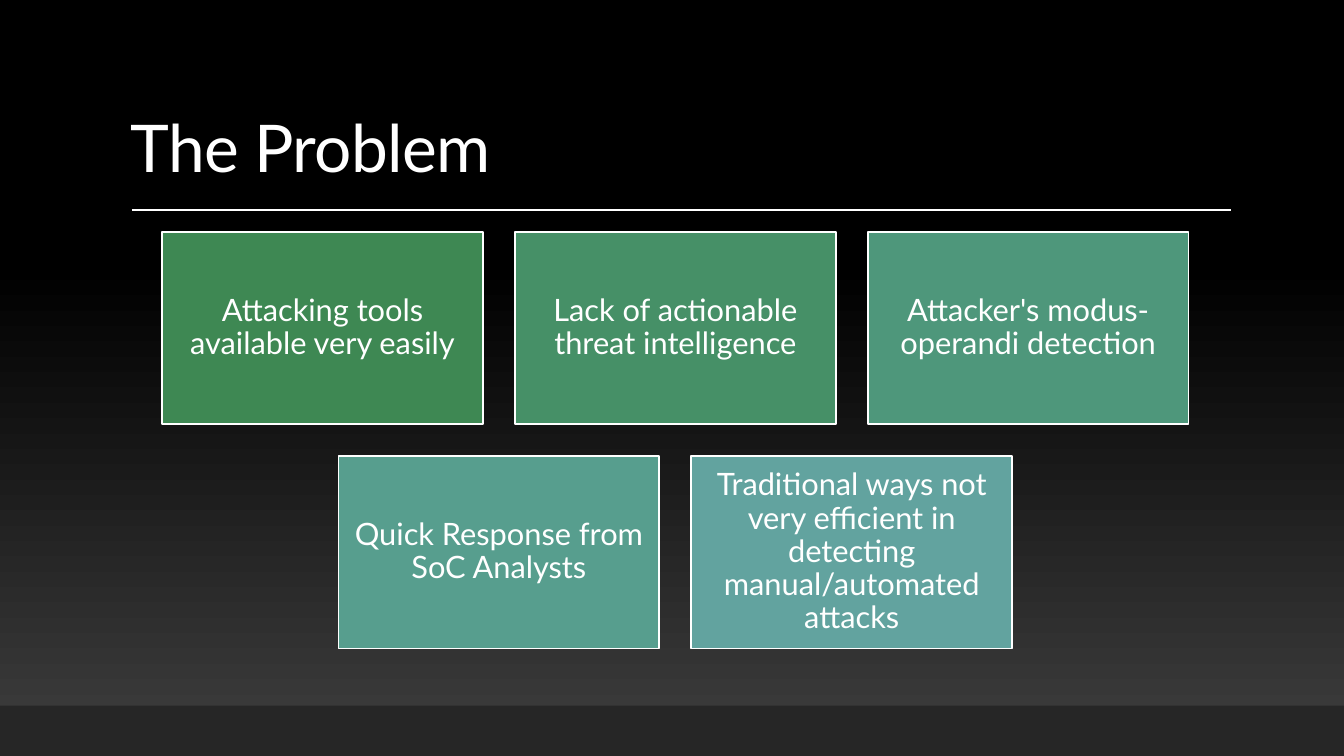
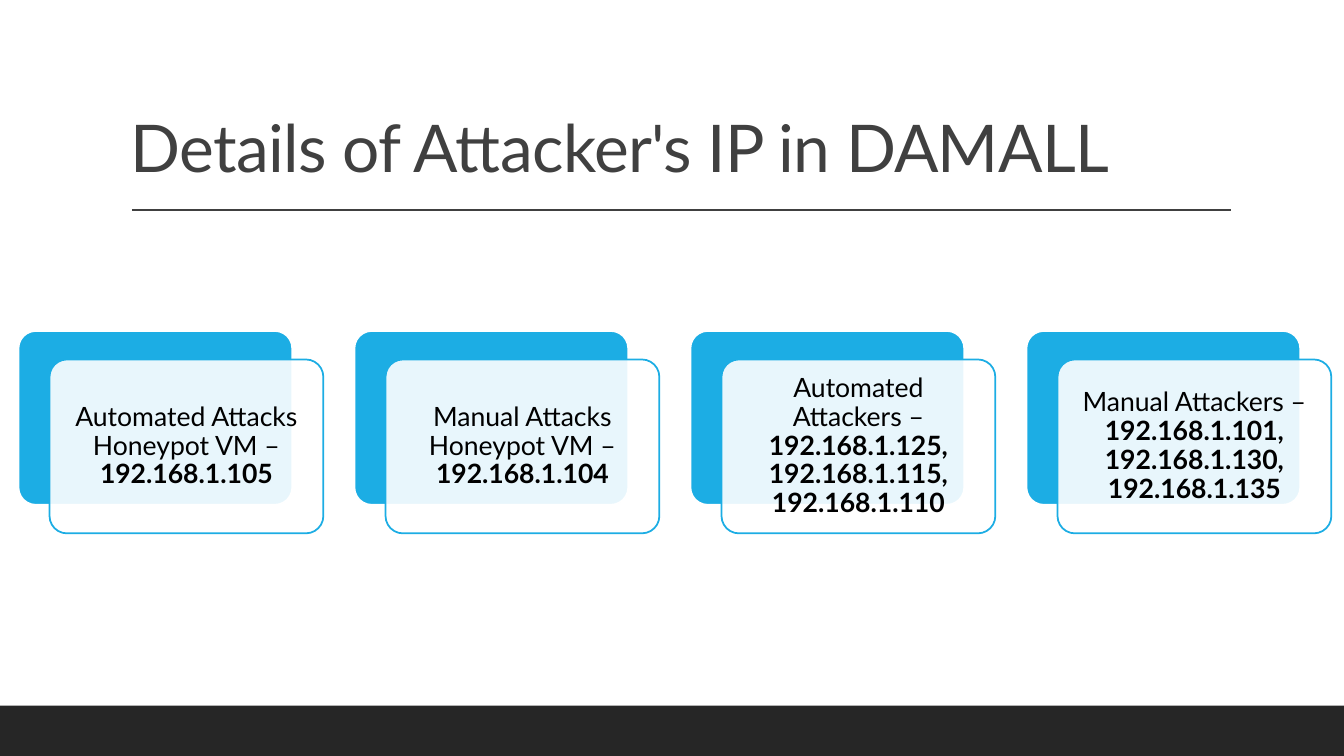
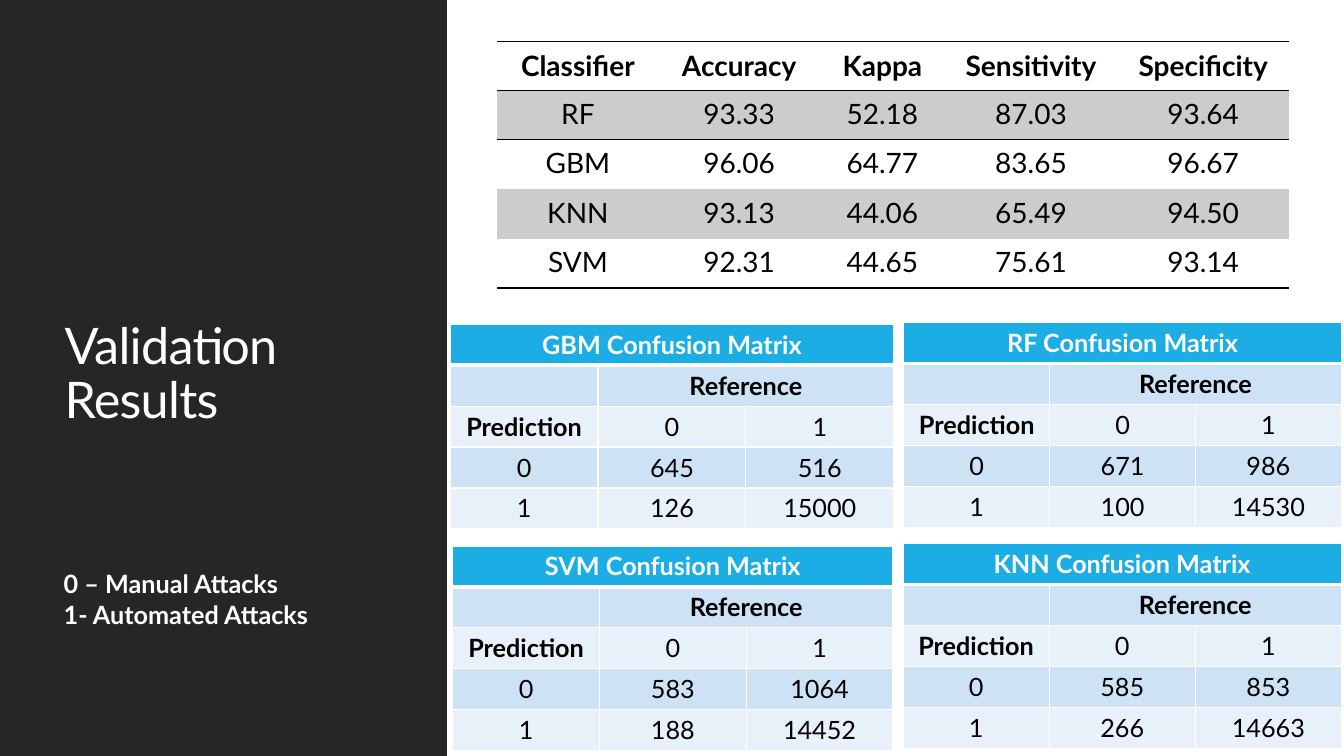
from lxml.etree import SubElement
from pptx import Presentation
from pptx.dml.color import RGBColor
from pptx.enum.shapes import MSO_CONNECTOR, MSO_SHAPE
from pptx.enum.text import MSO_ANCHOR, PP_ALIGN
from pptx.oxml.ns import qn
from pptx.util import Inches, Pt

COLS, ROWS = 160, 90
UNIT = Inches(40 / 3) / COLS
FONT = "Lato"
C = {
    "white": "FFFFFF", "black": "000000", "dark": "262626", "glow": "3F3F3F",
    "ink": "404040", "blue": "1CADE4", "band": "CDE3F5", "pale": "E8F1FA",
    "grey": "CCCCCC",
}
PROBLEMS = [
    [("Attacking tools available very easily", "3E8853"),
     ("Lack of actionable threat intelligence", "469067"),
     ("Attacker's modus-operandi detection", "4E977B")],
    [("Quick Response from SoC Analysts", "579E8E"),
     ("Traditional ways not very efficient in detecting manual/automated attacks", "62A39F")],
]
ADDRESSES = [
    ("Automated Attacks Honeypot VM – ", "192.168.1.105"),
    ("Manual Attacks Honeypot VM – ", "192.168.1.104"),
    ("Automated Attackers – ", "192.168.1.125, 192.168.1.115, 192.168.1.110"),
    ("Manual Attackers – ", "192.168.1.101, 192.168.1.130, 192.168.1.135"),
]
SCORES = [
    ("Classifier", "Accuracy", "Kappa", "Sensitivity", "Specificity"),
    ("RF", "93.33", "52.18", "87.03", "93.64"),
    ("GBM", "96.06", "64.77", "83.65", "96.67"),
    ("KNN", "93.13", "44.06", "65.49", "94.50"),
    ("SVM", "92.31", "44.65", "75.61", "93.14"),
]
SCORE_COLS = (19.2, 19.2, 14.9, 20.5, 20.5)
MATRICES = [
    ("GBM", (53.6, 38.6, 52.8, 24.4), ("645", "516"), ("126", "15000")),
    ("RF", (107.6, 38.4, 52.1, 24.4), ("671", "986"), ("100", "14530")),
    ("SVM", (53.9, 65, 52.4, 24.4), ("583", "1064"), ("188", "14452")),
    ("KNN", (107.5, 64.7, 52.2, 24.4), ("585", "853"), ("266", "14663")),
]
PLAIN_TABLE = "{2D5ABB26-0587-4C30-8999-92F81FD0307C}"


def grid(*cells):
    return [round(c * UNIT) for c in cells]


def rgb(name):
    return RGBColor.from_string(C.get(name, name))


def apply(obj, values):
    for key, value in values.items():
        setattr(obj, key, value)


def paint(fill, color):
    if color is None:
        fill.background()
    else:
        fill.solid()
        fill.fore_color.rgb = rgb(color)


def write(tf, paragraphs, size, color, align=PP_ALIGN.LEFT, spacing=1.0, tracking=None):
    for i, runs in enumerate(paragraphs):
        p = tf.add_paragraph() if i else tf.paragraphs[0]
        apply(p, {"alignment": align, "line_spacing": spacing})
        for text, bold in runs:
            for j, line in enumerate(text.split("\n")):
                if j:
                    p.add_line_break()
                r = p.add_run()
                r.text = line
                apply(r.font, {"name": FONT, "size": Pt(size), "bold": bold})
                r.font.color.rgb = rgb(color)
                if tracking:
                    r.font._element.set("spc", str(tracking))


def frame(tf, anchor, inset=None):
    apply(tf, {"word_wrap": True, "vertical_anchor": anchor})
    if inset is not None:
        sides = ("margin_left", "margin_top", "margin_right", "margin_bottom")
        apply(tf, dict.fromkeys(sides, round(inset * UNIT)))


def add_box(s, kind, box, fill, line=None):
    sp = s.shapes.add_shape(kind, *grid(*box))
    sp.shadow.inherit = False
    paint(sp.fill, fill)
    paint(sp.line.fill, line)
    if line:
        sp.line.width = Pt(1.25)
    return sp


def add_text(s, box, paragraphs, anchor, **style):
    tf = s.shapes.add_textbox(*grid(*box)).text_frame
    frame(tf, anchor)
    write(tf, paragraphs, **style)


def add_title(s, box, text, size, color, anchor):
    add_text(s, box, [[(text, False)]], anchor, size=size, color=color, spacing=0.9, tracking=-50)


def add_heading(s, text, color):
    add_title(s, (14.4, 3.7, 132, 19.1), text, 47, color, MSO_ANCHOR.BOTTOM)
    rule = s.shapes.add_connector(MSO_CONNECTOR.STRAIGHT, *grid(15.7, 25, 146.5, 25))
    rule.line.color.rgb = rgb(color)
    rule.line.width = Pt(1)
    SubElement(rule._element.spPr, qn("a:effectLst"))
    add_box(s, MSO_SHAPE.RECTANGLE, (0, 84, COLS, 6), "dark")


def add_glow(s):
    fill = s.background.fill
    fill.gradient()
    fill.gradient_angle = 90
    for stop, position, color in zip(fill.gradient_stops, (0, 0.65), ("glow", "black")):
        stop.position = position
        stop.color.rgb = rgb(color)


def add_tiles(s, box, tile_w, tile_h, gap):
    left, top, width, _ = box
    for i, row in enumerate(PROBLEMS):
        row_w = len(row) * (tile_w + gap) - gap
        x0 = left + (width - row_w) / 2
        for j, (text, color) in enumerate(row):
            place = (x0 + j * (tile_w + gap), top + i * (tile_h + gap), tile_w, tile_h)
            sp = add_box(s, MSO_SHAPE.RECTANGLE, place, color, "white")
            frame(sp.text_frame, MSO_ANCHOR.MIDDLE, 1.1)
            write(sp.text_frame, [[(text, False)]], 22, "white", PP_ALIGN.CENTER, 0.9)


def add_card(s, box, label, address):
    x, y, w, h = box
    back = add_box(s, MSO_SHAPE.ROUNDED_RECTANGLE, box, "blue", "white")
    front = add_box(s, MSO_SHAPE.ROUNDED_RECTANGLE, (x + 3.7, y + 3.4, w, h), "white", "blue")
    for sp in (back, front):
        sp.adjustments[0] = 0.1
    color = front._element.spPr.find(qn("a:solidFill")).find(qn("a:srgbClr"))
    SubElement(color, qn("a:alpha")).set("val", "90000")
    frame(front.text_frame, MSO_ANCHOR.MIDDLE, 1.6)
    write(front.text_frame, [[(label, False), (address, True)]], 19, "black", PP_ALIGN.CENTER, 0.9)


def add_grid_table(s, box, n_rows, widths):
    gf = s.shapes.add_table(n_rows, len(widths), *grid(*box))
    table = gf.table
    apply(table, {"first_row": False, "horz_banding": False})
    table._tbl.tblPr.find(qn("a:tableStyleId")).text = PLAIN_TABLE
    for col, width in zip(table.columns, widths):
        col.width = round(width * UNIT)
    for row in table.rows:
        row.height = round(box[3] / n_rows * UNIT)
    return table


def set_borders(cell, color, widths):
    tc_pr = cell._tc.get_or_add_tcPr()
    for side in "LRTB":
        if side in widths:
            ln = SubElement(tc_pr, qn("a:ln" + side), w=str(Pt(widths[side])))
            SubElement(SubElement(ln, qn("a:solidFill")), qn("a:srgbClr"), val=C[color])


def add_scores(s, box):
    table = add_grid_table(s, box, len(SCORES), SCORE_COLS)
    margins = {"margin_left": Inches(0.11), "margin_right": Inches(0.11),
               "margin_top": Inches(0.06), "margin_bottom": Inches(0.06)}
    edges = {0: {"T": 1, "B": 1}, 1: {"T": 1}, len(SCORES) - 1: {"B": 1}}
    for i, row in enumerate(SCORES):
        for j, text in enumerate(row):
            cell = table.cell(i, j)
            apply(cell, margins)
            cell.vertical_anchor = MSO_ANCHOR.TOP if i else MSO_ANCHOR.MIDDLE
            set_borders(cell, "black", edges.get(i, {}))
            paint(cell.fill, "grey" if i % 2 else None)
            write(cell.text_frame, [[(text, i == 0)]], 20, "black", PP_ALIGN.CENTER)


def add_matrix(s, name, box, zeros, ones):
    rows = [(name + " Confusion Matrix", "", ""), ("", "Reference", ""),
            ("Prediction", "0", "1"), ("0", *zeros), ("1", *ones)]
    table = add_grid_table(s, box, len(rows), [box[2] / 3] * 3)
    table.cell(0, 0).merge(table.cell(0, 2))
    table.cell(1, 1).merge(table.cell(1, 2))
    for i, row in enumerate(rows):
        for j, text in enumerate(row):
            cell = table.cell(i, j)
            set_borders(cell, "white", {"L": 1, "R": 1, "T": 3 if i == 1 else 1, "B": 1 if i else 3})
            paint(cell.fill, ("pale" if i % 2 == 0 else "band") if i else "blue")
            if text:
                bold = i < 2 or text == "Prediction"
                write(cell.text_frame, [[(text, bold)]], 18, "black" if i else "white", PP_ALIGN.CENTER)


def problem_slide(s):
    add_glow(s)
    add_heading(s, "The Problem", "white")
    add_tiles(s, (19.3, 27.6, 122.2, 49.6), 38.2, 22.9, 3.8)


def address_slide(s):
    paint(s.background.fill, "white")
    add_heading(s, "Details of Attacker's IP in DAMALL", "ink")
    pitch = COLS / len(ADDRESSES)
    for i, (label, address) in enumerate(ADDRESSES):
        add_card(s, (2.2 + i * pitch, 39.4, 32.6, 20.7), label, address)


def results_slide(s):
    paint(s.background.fill, "white")
    add_box(s, MSO_SHAPE.RECTANGLE, (0, 0, 53.2, ROWS), "dark")
    add_title(s, (6.5, 6.8, 40.4, 75.7), "Validation\nResults", 36, "white", MSO_ANCHOR.MIDDLE)
    add_scores(s, (59.2, 4.9, sum(SCORE_COLS), 29.4))
    for matrix in MATRICES:
        add_matrix(s, *matrix)
    legend = [[("0 – Manual Attacks", True)], [("1- Automated Attacks", True)]]
    add_text(s, (6.4, 67.1, 38.5, 8.5), legend, MSO_ANCHOR.TOP, size=18, color="white")


def main():
    prs = Presentation()
    apply(prs, {"slide_width": round(COLS * UNIT), "slide_height": round(ROWS * UNIT)})
    for build in (problem_slide, address_slide, results_slide):
        build(prs.slides.add_slide(prs.slide_layouts[6]))
    prs.save("out.pptx")


if __name__ == "__main__":
    main()
